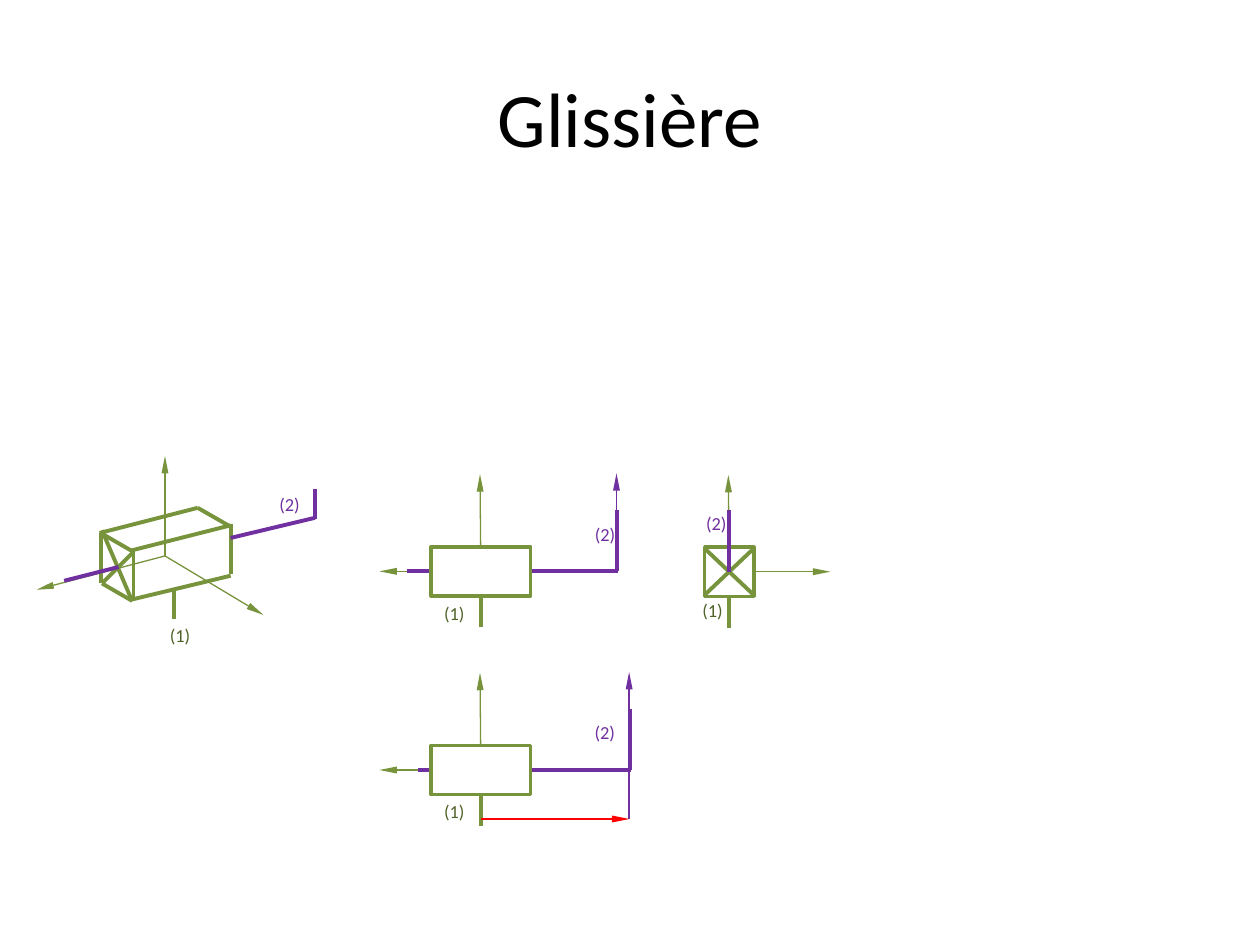
import pptx
import pptx.dml.color
import pptx.enum.shapes
import pptx.enum.text
import pptx.oxml.ns
import pptx.util

Pt = pptx.util.Pt
GREEN, DARK, VIOLET, RED = "77933C", "4F6228", "7030A0", "FF0000"
THIN, THICK, EDGE = 0.75, 2.25, 2
LABEL = (28.1, 20.9)
BOX_W, BOX_H = 56.9, 28.1

# Front views: centre, arm x, foot of the arm axis, left end of the bar, place of label (2)
FRONTS = [
    dict(cx=274.8, cy=440, arm=360, foot=468, end=239, two=(331.5, 408.5)),
    dict(cx=274.8, cy=326.5, arm=352.8, foot=326.9, end=232.6, two=(331.7, 295.2)),
]
# Offset between the two bodies, below the lower front view
SHIFT = (274.8, 468, 359.6, 468)
SIDE = (416.7, 326.7)

# Perspective view: axes from one origin, then box edges and the rod
ORIGIN = (94.3, 317.7)
AXES = [(20.9, 337), (94.3, 260.6), (150.5, 351.4)]
EDGES = [
    (131.8, 300.2, 74.9, 314.6), (99.4, 353.5, 99.4, 336.2),
    (131.8, 329, 74.9, 342.7), (76.3, 343.4, 76.3, 314.6),
    (58.3, 333.4, 75.6, 343.4), (57.6, 333.4, 57.6, 304.6),
    (131.8, 328.3, 131.8, 299.5), (113, 290.2, 131.8, 301),
    (113, 290.2, 56.9, 304.6), (57.6, 304.6, 76.3, 315.4),
    (74.9, 342, 58.3, 303.1), (58.3, 333.4, 76.3, 315.4),
]
ROD = [(180, 279.4, 180, 296.6), (67.7, 324, 36.7, 331.9), (180, 295.9, 131.8, 307.4)]

deck = pptx.Presentation()
deck.slide_width, deck.slide_height = Pt(720), Pt(540)
slide = deck.slides.add_slide(deck.slide_layouts[6])
shapes = slide.shapes


def color(code):
    return pptx.dml.color.RGBColor.from_string(code)


def text(words, x, y, w, h, size=10.5, ink="000000", wrap=False, middle=False):
    box = shapes.add_textbox(Pt(x), Pt(y), Pt(w), Pt(h))
    frame = box.text_frame
    frame.word_wrap = wrap
    anchor = pptx.enum.text.MSO_ANCHOR
    frame.vertical_anchor = anchor.MIDDLE if middle else anchor.TOP
    para = frame.paragraphs[0]
    para.text = words
    para.alignment = pptx.enum.text.PP_ALIGN.CENTER
    para.font.name, para.font.size = "Calibri", Pt(size)
    para.font.color.rgb = color(ink)


def line(x1, y1, x2, y2, ink=GREEN, width=THICK):
    kind = pptx.enum.shapes.MSO_CONNECTOR.STRAIGHT
    part = shapes.add_connector(kind, Pt(x1), Pt(y1), Pt(x2), Pt(y2))
    part.line.color.rgb, part.line.width = color(ink), Pt(width)
    props = part._element.spPr
    props.append(props.makeelement(pptx.oxml.ns.qn("a:effectLst"), {}))
    return part


def arrow(x1, y1, x2, y2, ink=GREEN):
    stroke = line(x1, y1, x2, y2, ink, THIN).line._get_or_add_ln()
    head = {"type": "triangle", "w": "sm", "len": "lg"}
    stroke.append(stroke.makeelement(pptx.oxml.ns.qn("a:tailEnd"), head))


def block(cx, cy, w, h):
    kind = pptx.enum.shapes.MSO_SHAPE.RECTANGLE
    part = shapes.add_shape(kind, Pt(cx - w / 2), Pt(cy - h / 2), Pt(w), Pt(h))
    part.shadow.inherit = False
    part.fill.solid()
    part.fill.fore_color.rgb = color("FFFFFF")
    part.line.color.rgb, part.line.width = color(GREEN), Pt(EDGE)


def front(cx, cy, arm, foot, end, two):
    arrow(cx, cy, cx - 0.5, cy - 55.5)
    arrow(cx, cy, cx - 58, cy)
    line(cx, cy + 32, cx, cy + 14.4)
    line(arm, cy - 35, arm, cy, VIOLET)
    text("(1)", cx - 29.3, cy + 13.8, *LABEL, ink=DARK)
    arrow(arm - 0.5, foot, arm - 0.5, cy - 56, VIOLET)
    text("(2)", *two, *LABEL, ink=VIOLET)
    line(arm + 0.5, cy, end, cy, VIOLET)
    block(cx, cy, BOX_W, BOX_H)


def side(cx, cy):
    half = BOX_H / 2
    text("(2)", cx - 21.4, cy - 37.3, *LABEL, ink=VIOLET)
    arrow(cx, cy, cx - 0.5, cy - 55.3)
    line(cx, cy + 32, cx, cy)
    arrow(cx, cy, cx + 57.8, cy)
    text("(1)", cx - 23.6, cy + 12.4, *LABEL, ink=DARK)
    block(cx, cy, BOX_H, BOX_H)
    for sign in (1, -1):
        line(cx + sign * half, cy + 13.3, cx - sign * half, cy - 13.3)
    line(cx, cy - 35, cx, cy, VIOLET)


# Title
text("Glissière", 36, 21.6, 648, 90, size=44, wrap=True, middle=True)

# Flat views
for view in FRONTS:
    front(**view)
arrow(*SHIFT, RED)
side(*SIDE)

# Perspective view
for tip in AXES:
    arrow(*ORIGIN, *tip)
text("(2)", 151.4, 278.4, *LABEL, ink=VIOLET)
text("(1)", 88.8, 353, *LABEL, ink=DARK)
for edge in EDGES:
    line(*edge)
for piece in ROD:
    line(*piece, VIOLET)

deck.save("out.pptx")
